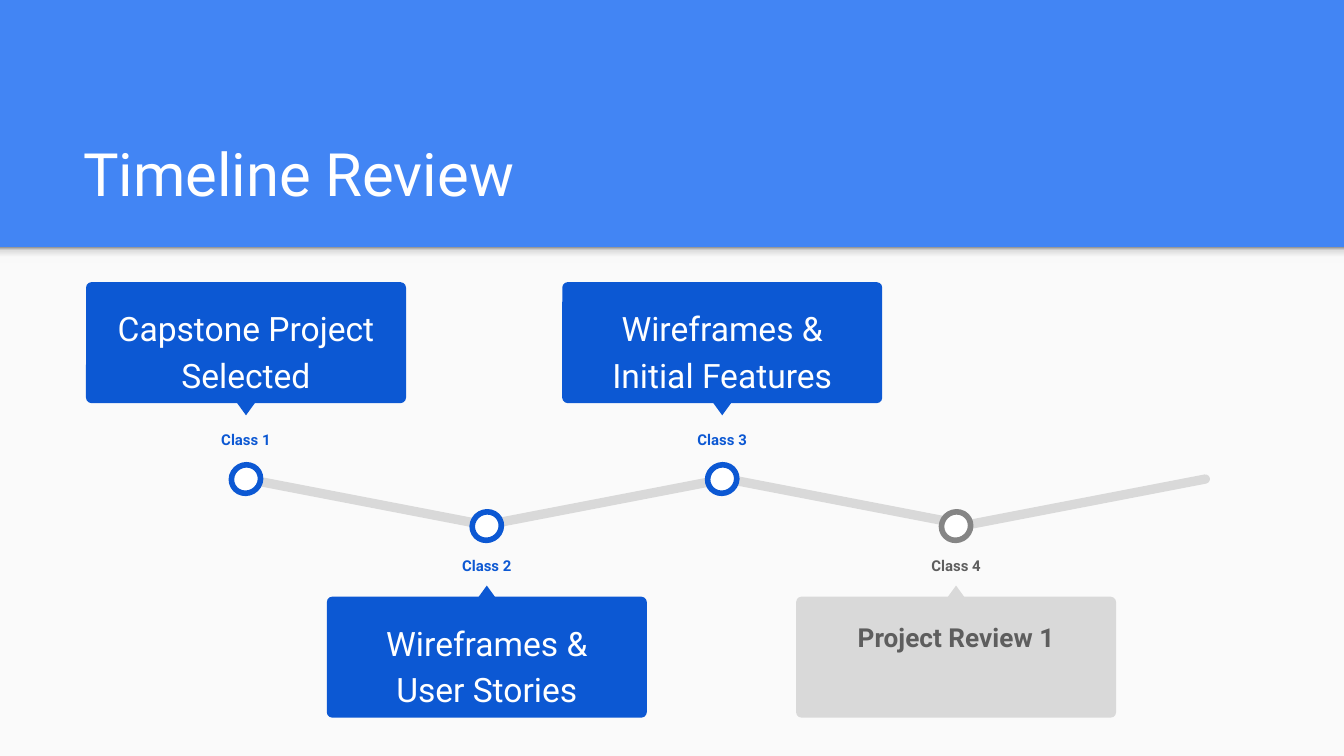
from copy import deepcopy
from pptx import Presentation
from pptx import util as u
from pptx.dml.color import RGBColor
from pptx.enum import shapes, text
from pptx.oxml.ns import qn

COLORS = {
    "banner": "4285F4", "panel": "FAFAFA", "white": "FFFFFF",
    "blue": "0C58D3", "track": "D9D9D9", "ring": "858585", "muted": "5E5E5E",
}
SHADE = [(0, "F9F9F9"), (36, "F9F9F9"), (80, "DEDEDE"), (100, "999999")]
SHAPE = shapes.MSO_SHAPE
CLASSES = [
    ("Class 1", "Capstone Project Selected", 131.8, True),
    ("Class 2", "Wireframes & User Stories", 260.8, True),
    ("Class 3", "Wireframes & Initial Features", 386.9, True),
    ("Class 4", "Project Review 1", 512.2, False),
]


class Deck:
    font = "Roboto"

    def __init__(self, width, height):
        self.prs = Presentation()
        self.prs.slide_width, self.prs.slide_height = u.Pt(width), u.Pt(height)
        self.s = self.prs.slides.add_slide(self.prs.slide_layouts[5])
        self.target = self.s.shapes
        fill = self.s.background.fill
        fill.solid()
        fill.fore_color.rgb = self.rgb("banner")

    def rgb(self, name):
        return RGBColor.from_string(COLORS[name])

    def shape(self, kind, x, y, w, h, fill, line=None, rot=0, adj=None):
        sp = self.target.add_shape(kind, u.Pt(x), u.Pt(y), u.Pt(w), u.Pt(h))
        sp.shadow.inherit = False
        sp.rotation = rot
        sp.fill.solid()
        sp.fill.fore_color.rgb = self.rgb(fill)
        if line:
            sp.line.color.rgb = self.rgb(line)
            sp.line.width = u.Pt(3)
        else:
            sp.line.fill.background()
        if adj is not None:
            sp.adjustments[0] = adj
        return sp

    def shade(self, x, y, w, h):
        sp = self.shape(SHAPE.RECTANGLE, x, y, w, h, "panel")
        sp.fill.gradient()
        sp.fill.gradient_angle = 90
        stops = sp._element.spPr.find(qn("a:gradFill")).find(qn("a:gsLst"))
        for _ in range(len(SHADE) - len(stops)):
            stops.append(deepcopy(stops[0]))
        for stop, (position, color) in zip(sp.fill.gradient_stops, SHADE):
            stop.position = position / 100
            stop.color.rgb = RGBColor.from_string(color)

    def add_text(self, tf, words, size, color, bold=False):
        tf.word_wrap = True
        tf.auto_size = text.MSO_AUTO_SIZE.NONE
        tf.margin_left = tf.margin_right = u.Pt(7.2)
        tf.margin_top = tf.margin_bottom = u.Pt(7.2)
        p = tf.paragraphs[0]
        r = p.add_run()
        r.text = words
        r.font.name, r.font.size, r.font.bold = self.font, u.Pt(size), bold
        r.font.color.rgb = self.rgb(color)
        return p

    def title(self, words, x, y, w, h):
        sp = self.s.shapes.title
        sp.left, sp.top, sp.width, sp.height = u.Pt(x), u.Pt(y), u.Pt(w), u.Pt(h)
        p = self.add_text(sp.text_frame, words, 32, "white")
        p.alignment = text.PP_ALIGN.LEFT
        sp.text_frame.vertical_anchor = text.MSO_ANCHOR.BOTTOM

    def label(self, words, x, y, w, h, size, color, bold):
        sp = self.target.add_textbox(u.Pt(x), u.Pt(y), u.Pt(w), u.Pt(h))
        p = self.add_text(sp.text_frame, words, size, color, bold)
        p.alignment = text.PP_ALIGN.CENTER
        p.line_spacing = 1.15
        p.space_after = u.Pt(16)

    def segment(self, x, rot):
        self.shape(SHAPE.ROUNDED_RECTANGLE, x, 266.4, 134.6, 5, "track", rot=rot, adj=0.5)

    def milestone(self, name, words, center, above, done):
        card_y, label_y, tip_y, dot_y = (
            (151.2, 221.8, 216, 249.1) if above else (319.7, 289.4, 313.7, 274.3))
        fill, ring, name_color, card_color, size = (
            ("blue", "blue", "blue", "white", 18) if done
            else ("track", "ring", "muted", "muted", 14))
        self.target = self.s.shapes.add_group_shape().shapes
        self.shape(SHAPE.OVAL, center - 7.9, dot_y, 15.8, 15.1, "white", ring, rot=330.2)
        self.label(name, center - 35, label_y, 70, 25.2, 8, name_color, True)
        self.shape(SHAPE.ROUNDED_RECTANGLE, center - 85.7, card_y, 171.4, 64.8, fill, adj=0.045)
        self.shape(SHAPE.ISOSCELES_TRIANGLE, center - 4.7, tip_y, 9.4, 6.5, fill,
                   rot=180 if above else 0)
        self.label(words, center - 81.4, card_y + 3.6, 162.8, 57.6, size, card_color, not done)
        self.target = self.s.shapes


def main():
    deck = Deck(720, 405)
    deck.shape(SHAPE.RECTANGLE, 0, 132.5, 720, 272.5, "panel")
    deck.shade(0, 132.5, 720, 8.6)
    deck.title("Timeline Review", 37.4, 58.3, 647.3, 60.5)
    for i in range(4):
        deck.segment(128.4 + 128.8 * i, 349.1 if i % 2 else 10.9)
    for i, (name, words, center, done) in enumerate(CLASSES):
        deck.milestone(name, words, center, i % 2 == 0, done)
    deck.prs.save("out.pptx")


if __name__ == "__main__":
    main()
